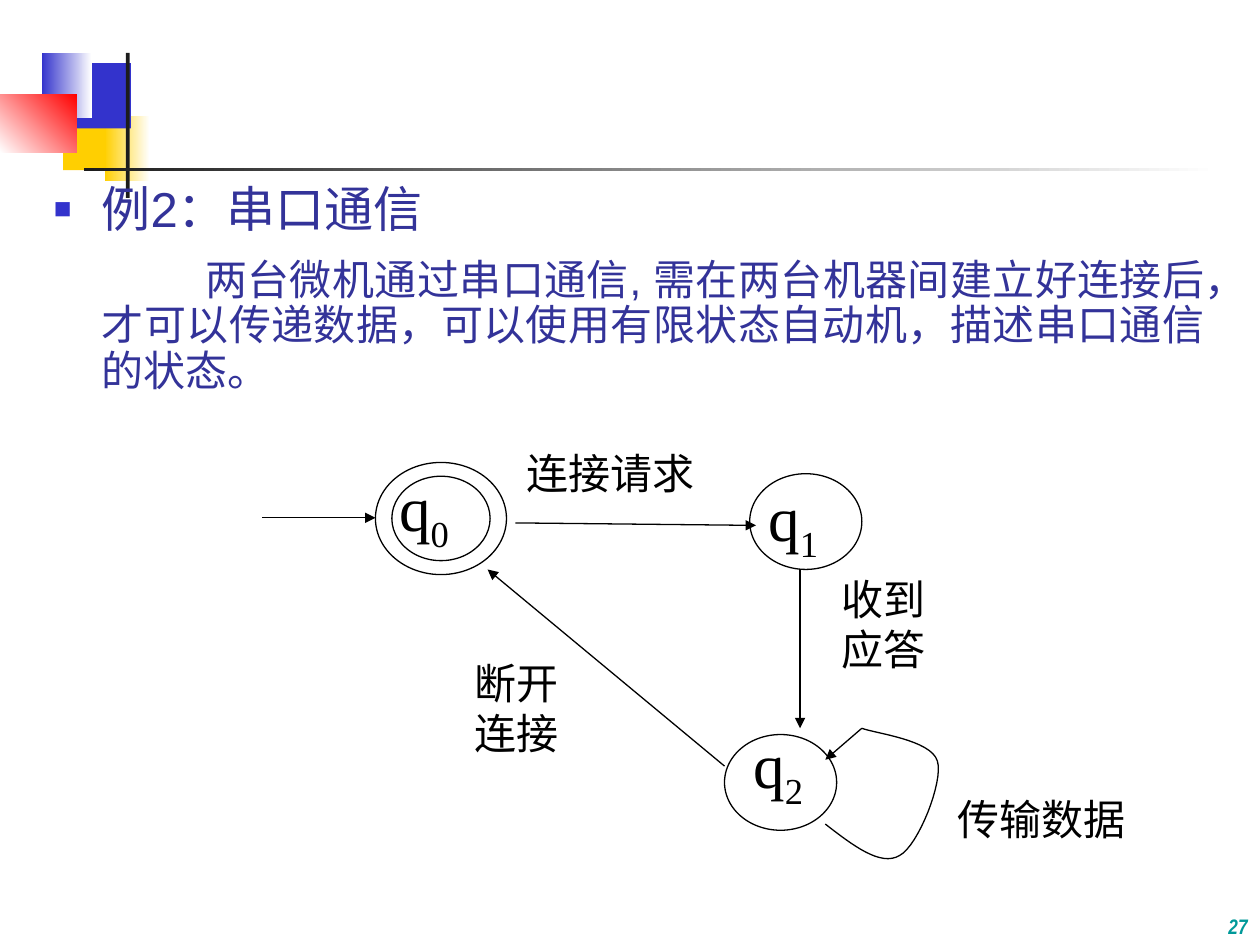
from lxml import etree
from pptx import Presentation
from pptx.dml.color import RGBColor
from pptx.enum.shapes import MSO_CONNECTOR, MSO_SHAPE
from pptx.enum.text import MSO_ANCHOR, PP_ALIGN
from pptx.oxml.ns import qn
from pptx.util import Inches, Pt

WHITE = RGBColor(0xFF, 0xFF, 0xFF)
BLACK = RGBColor(0, 0, 0)
YELLOW = RGBColor(0xFF, 0xCF, 0x01)
BLUE = RGBColor(0x33, 0x33, 0xCC)
RED = RGBColor(0xFF, 0, 0)
CHARCOAL = RGBColor(0x1C, 0x1C, 0x1C)
INDIGO = RGBColor(0x33, 0x33, 0x99)
TEAL = RGBColor(0, 0x99, 0x99)
SERIF = "Times New Roman"


def add_block(page, kind, box, fill, fade_to=None, angle=180, outlined=False):
    """Add a filled shape; fade_to turns the fill into a gradient from fill."""
    shape = page.shapes.add_shape(kind, *map(Inches, box))
    shape.shadow.inherit = False
    if fade_to is None:
        shape.fill.solid()
        shape.fill.fore_color.rgb = fill
    else:
        shape.fill.gradient()
        shape.fill.gradient_angle = angle
        for stop, color, position in zip(shape.fill.gradient_stops, (fill, fade_to), (0, 1)):
            stop.color.rgb = color
            stop.position = position
    if outlined:
        shape.line.color.rgb = BLACK
        shape.line.width = Pt(0.75)
    else:
        shape.line.fill.background()
    return shape


def add_text(page, box, lines, size, font, color, align=PP_ALIGN.JUSTIFY):
    frame = page.shapes.add_textbox(*map(Inches, box)).text_frame
    frame.word_wrap = True
    frame.text = "\n".join(lines)
    for para in frame.paragraphs:
        para.alignment = align
        para.font.size = Pt(size)
        para.font.name = font
        para.font.color.rgb = color
        for span in para.runs:
            span.font.size = Pt(size)
            span.font.name = font
            span.font.color.rgb = color
    return frame


def add_arrow(page, start, end):
    arrow = page.shapes.add_connector(MSO_CONNECTOR.STRAIGHT, *map(Inches, start + end))
    arrow.line.color.rgb = BLACK
    arrow.line.width = Pt(0.75)
    etree.SubElement(arrow.line._get_or_add_ln(), qn("a:tailEnd"), type="triangle")
    etree.SubElement(arrow._element.spPr, qn("a:effectLst"))


def add_state(page, box, name_box, index, inset=None):
    """Draw a state; an inset (x, y) adds the inner ring of an accepting state."""
    left, top, width, height = box
    add_block(page, MSO_SHAPE.OVAL, box, WHITE, outlined=True)
    if inset:
        dx, dy = inset
        inner = (left + dx, top + dy, width - 2 * dx, height - 2 * dy)
        add_block(page, MSO_SHAPE.OVAL, inner, WHITE, outlined=True)
    frame = add_text(page, name_box, ["q"], 36, SERIF, BLACK)
    span = frame.paragraphs[0].add_run()
    span.text = str(index)
    span.font.size = Pt(36)
    span.font.name = SERIF
    span.font.color.rgb = BLACK
    span._r.get_or_add_rPr().set("baseline", "-25000")


def add_curve(page, start, segments, steps=16):
    """Trace cubic Bezier segments, each given as two controls and an end."""
    points = []
    origin = start
    for first, second, end in segments:
        for step in range(1, steps + 1):
            t = step / steps
            u = 1 - t
            points.append(tuple(
                Inches(u**3 * a + 3 * u * u * t * b + 3 * u * t * t * c + t**3 * d)
                for a, b, c, d in zip(origin, first, second, end)))
        origin = end
    builder = page.shapes.build_freeform(*map(Inches, start))
    builder.add_line_segments(points, close=False)
    curve = builder.convert_to_shape()
    curve.shadow.inherit = False
    curve.fill.background()
    curve.line.color.rgb = BLACK
    curve.line.width = Pt(0.75)


def add_ornament(page):
    rect = MSO_SHAPE.RECTANGLE
    add_block(page, rect, (0.5, 0.83, 0.48, 0.52), YELLOW)
    add_block(page, rect, (0.83, 0.92, 0.36, 0.52), WHITE, YELLOW)
    add_block(page, rect, (0.58, 0.5, 0.46, 0.52), BLUE)
    add_block(page, rect, (0.33, 0.42, 0.4, 0.52), WHITE, BLUE)
    add_block(page, rect, (0, 0.75, 0.61, 0.46), RED, WHITE, angle=225)
    add_block(page, rect, (1, 0.42, 0.03, 1.15), CHARCOAL)
    add_block(page, rect, (0.67, 1.33, 9, 0.03), WHITE, CHARCOAL)


def add_body(page, box):
    frame = add_text(page, box, [
        "例2：串口通信",
        "两台微机通过串口通信, 需在两台机器间建立好连接后，才可以传递数据，"
        "可以使用有限状态自动机，描述串口通信的状态。",
    ], 28, "Arial", INDIGO)
    heading, detail = frame.paragraphs
    for para, indent in ((heading, -0.38), (detail, 0.82)):
        para.line_spacing = 0.9
        para.space_after = Pt(6)
        properties = para._p.get_or_add_pPr()
        properties.set("marL", str(Inches(0.38)))
        properties.set("indent", str(Inches(indent)))
    detail.space_before = Pt(6)
    detail.font.size = detail.runs[0].font.size = Pt(24)

    properties = heading._p.get_or_add_pPr()
    bullet_color = etree.Element(qn("a:buClr"))
    etree.SubElement(bullet_color, qn("a:srgbClr"), val=str(BLUE))
    bullet = [
        bullet_color,
        etree.Element(qn("a:buSzPct"), val="60000"),
        etree.Element(qn("a:buFont"), typeface="Arial"),
        etree.Element(qn("a:buChar"), char="■"),
    ]
    default_run = properties.find(qn("a:defRPr"))
    for element in bullet:
        default_run.addprevious(element)


def add_automaton(page):
    for box, lines in (
        ((7.5, 6.25, 2.08, 0.76), ["传输数据"]),
        ((6.58, 4.5, 1.49, 1.26), ["收到", "应答"]),
        ((3.67, 5.17, 1.49, 1.26), ["断开", "连接"]),
        ((4.08, 3.5, 2.08, 0.76), ["连接请求"]),
    ):
        add_text(page, box, lines, 24, SERIF, BLACK)

    add_state(page, (2.98, 3.67, 1.04, 0.89), (3.07, 3.67, 0.89, 0.76), 0, inset=(0.13, 0.11))
    add_state(page, (5.95, 3.76, 0.89, 0.76), (6, 3.75, 1.06, 0.92), 1)
    add_state(page, (5.75, 5.83, 0.89, 0.76), (5.88, 5.71, 0.89, 0.76), 2)

    for start, end in (
        ((2.08, 4.11), (2.98, 4.11)),
        ((4.09, 4.15), (6, 4.17)),
        ((6.35, 4.52), (6.35, 5.78)),
        ((5.75, 6.08), (3.87, 4.52)),
        ((6.84, 5.78), (6.55, 6.03)),
    ):
        add_arrow(page, start, end)
    add_curve(page, (6.55, 6.54), [
        ((6.77, 6.71), (6.99, 6.88), (7.14, 6.79)),
        ((7.29, 6.71), (7.49, 6.2), (7.44, 6.04)),
        ((7.39, 5.87), (6.94, 5.82), (6.84, 5.78)),
    ])


def add_page_number(page, box):
    frame = add_text(page, box, ["27"], 12, "Arial Narrow", TEAL, PP_ALIGN.RIGHT)
    frame.vertical_anchor = MSO_ANCHOR.BOTTOM
    font = frame.paragraphs[0].runs[0].font
    font.bold = font.italic = True


def main():
    deck = Presentation()
    deck.slide_width, deck.slide_height = Inches(10), Inches(7.5)
    page = deck.slides.add_slide(deck.slide_layouts[6])
    add_ornament(page)
    add_body(page, (0.33, 1.42, 9.33, 1.92))
    add_automaton(page)
    add_page_number(page, (8.33, 7, 1.67, 0.5))
    deck.save("out.pptx")


if __name__ == "__main__":
    main()
